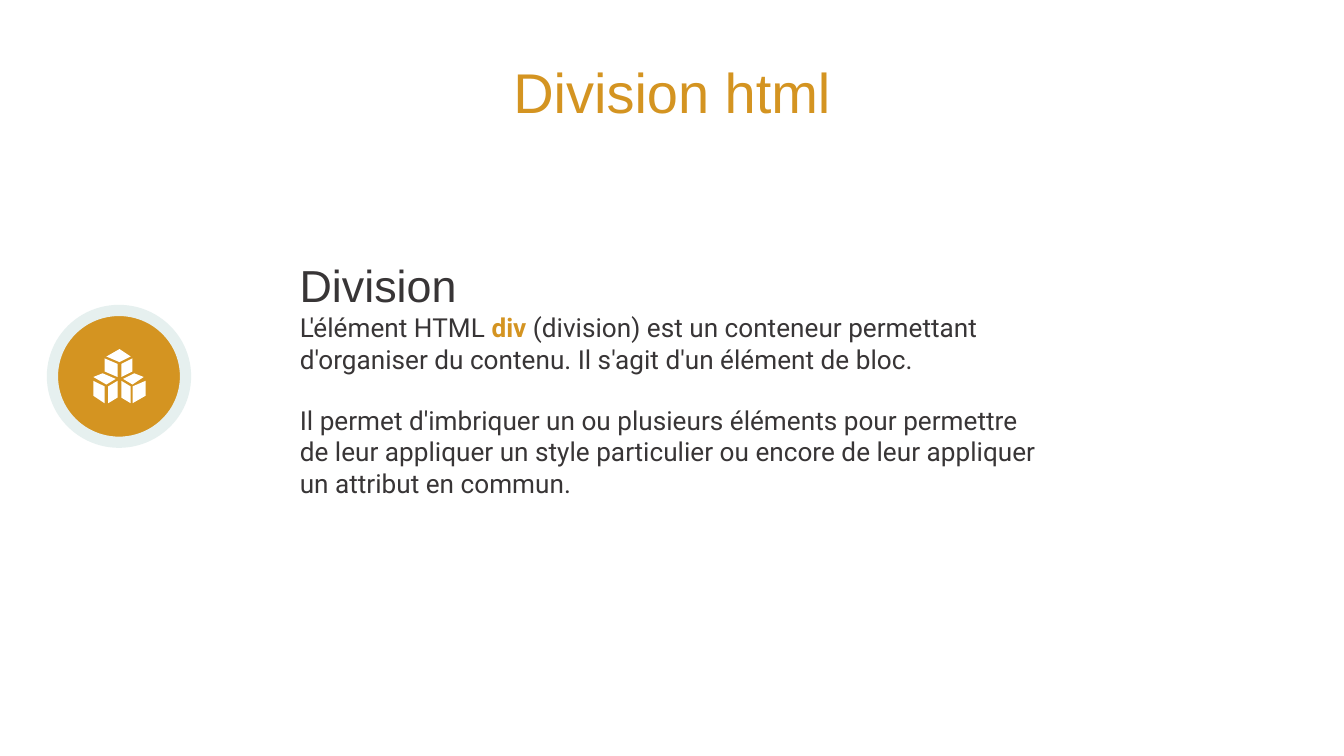
from dataclasses import dataclass

from pptx import Presentation
from pptx.dml.color import RGBColor
from pptx.enum.shapes import MSO_SHAPE
from pptx.enum.text import MSO_ANCHOR, MSO_AUTO_SIZE, PP_ALIGN
from pptx.util import Pt

OVAL = MSO_SHAPE.OVAL
LEFT, CENTER = PP_ALIGN.LEFT, PP_ALIGN.CENTER
TOP, MIDDLE, BOTTOM = MSO_ANCHOR.TOP, MSO_ANCHOR.MIDDLE, MSO_ANCHOR.BOTTOM


@dataclass(frozen=True)
class Theme:
    accent: RGBColor = RGBColor(0xD4, 0x94, 0x21)
    ink: RGBColor = RGBColor(0x38, 0x35, 0x36)
    ring: RGBColor = RGBColor(0xE6, 0xF0, 0xEF)
    white: RGBColor = RGBColor(0xFF, 0xFF, 0xFF)
    head_font: str = "Arial"
    body_font: str = "Roboto"
    title: float = 30
    heading: float = 24
    body: float = 14


@dataclass(frozen=True)
class Box:
    x: float
    y: float
    w: float
    h: float


THEME = Theme()
INSET = 7.2
ICON_AXIS = 63.7

# Right-hand cube faces: (distance from the icon axis, y)
CUBE_FACES = [
    [(1, 195.1), (7.5, 192.2), (7.5, 198.7), (1, 202.3)],
    [(1, 204.5), (6.2, 207.4), (6.2, 216), (1, 213.1)],
    [(8.3, 200.2), (1.8, 203), (6.9, 205.9), (13.3, 202.3)],
    [(14, 203.8), (7.6, 207.4), (7.6, 216), (14, 212.4)],
]
TOP_FACE = [(0, 187.2), (6.8, 190.8), (0, 193.7), (-6.8, 190.8)]


def place(sp, box: Box) -> None:
    sp.left, sp.top, sp.width, sp.height = (
        Pt(v) for v in (box.x, box.y, box.w, box.h))


def set_frame(sp, anchor, bottom: float = INSET):
    tf = sp.text_frame
    tf.word_wrap = True
    tf.auto_size = MSO_AUTO_SIZE.NONE
    tf.vertical_anchor = anchor
    tf.margin_left = tf.margin_right = tf.margin_top = Pt(INSET)
    tf.margin_bottom = Pt(bottom)
    return tf


def add_run(p, text: str, font: str, size: float, color: RGBColor,
            bold: bool = False) -> None:
    r = p.add_run()
    r.text = text
    r.font.name = font
    r.font.size = Pt(size)
    r.font.bold = bold
    r.font.color.rgb = color


def add_circle(s, box: Box, fill: RGBColor, ring: float = 0) -> None:
    sp = s.shapes.add_shape(OVAL, *(Pt(v) for v in (box.x, box.y, box.w, box.h)))
    sp.shadow.inherit = False
    sp.fill.solid()
    sp.fill.fore_color.rgb = fill
    if ring:
        sp.line.color.rgb = THEME.ring
        sp.line.width = Pt(ring)
    else:
        sp.line.fill.background()


def add_face(group, points: list[tuple[float, float]], side: int = 1) -> None:
    xy = [(ICON_AXIS + side * dx, y) for dx, y in points]
    builder = group.shapes.build_freeform(*xy[0], scale=Pt(1))
    builder.add_line_segments(xy[1:], close=True)
    sp = builder.convert_to_shape()
    sp.shadow.inherit = False
    sp.fill.solid()
    sp.fill.fore_color.rgb = THEME.white
    sp.line.fill.background()


def main() -> None:
    prs = Presentation()
    prs.slide_width, prs.slide_height = Pt(720), Pt(405)
    s = prs.slides.add_slide(prs.slide_layouts[0])

    # Title
    sp = s.shapes.title
    place(sp, Box(190.8, 22.3, 338.4, 49.7))
    p = set_frame(sp, BOTTOM, bottom=5).paragraphs[0]
    p.alignment = CENTER
    add_run(p, "Division html", THEME.head_font, THEME.title, THEME.accent)

    # Section heading
    heading = Box(153.4, 129.6, 128.9, 46)
    sp = s.shapes.add_textbox(0, 0, 0, 0)
    place(sp, heading)
    p = set_frame(sp, MIDDLE).paragraphs[0]
    add_run(p, "Division", THEME.head_font, THEME.heading, THEME.ink)

    # Description
    sp = s.placeholders[1]
    place(sp, Box(heading.x, 159.8, 414, 115.2))
    tf = set_frame(sp, TOP)
    paragraphs = [
        [("L'élément HTML ", False), ("div", True),
         (" (division) est un conteneur permettant d'organiser du contenu. "
          "Il s'agit d'un élément de bloc.", False)],
        [("Il permet d'imbriquer un ou plusieurs éléments pour permettre de "
          "leur appliquer un style particulier ou encore de leur appliquer "
          "un attribut en commun.", False)],
    ]
    for i, runs in enumerate(paragraphs):
        p = tf.add_paragraph() if i else tf.paragraphs[0]
        p.alignment = LEFT
        p.space_before = Pt(16 if i else 0)
        for text, key in runs:
            add_run(p, text, THEME.body_font, THEME.body,
                    THEME.accent if key else THEME.ink, key)

    # Badge
    add_circle(s, Box(15.8, 154.8, 95, 94.3), THEME.white)
    add_circle(s, Box(28.1, 166.3, 71.3, 70.6), THEME.accent, ring=6)

    # Cubes icon, mirrored about its axis
    cubes = s.shapes.add_group_shape()
    for face in CUBE_FACES:
        for side in (-1, 1):
            add_face(cubes, face, side)
    add_face(cubes, TOP_FACE)

    prs.save("out.pptx")


if __name__ == "__main__":
    main()
